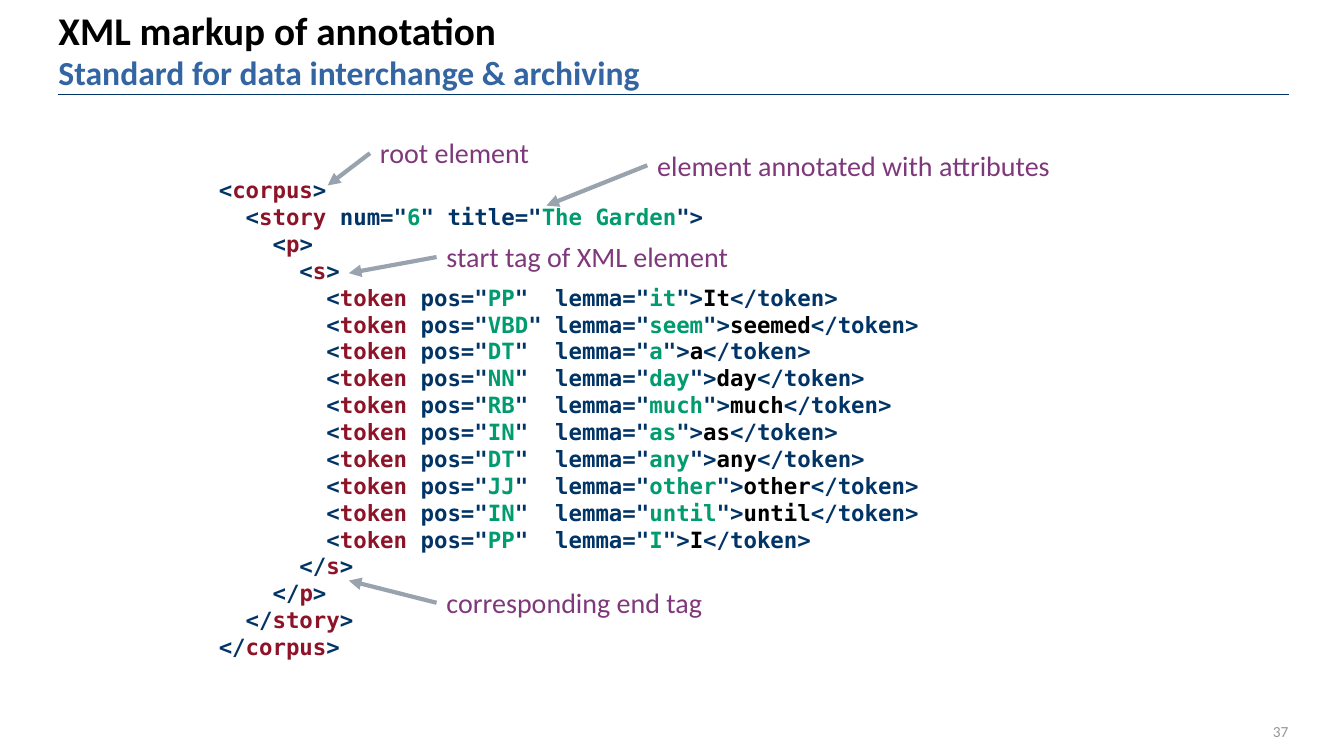
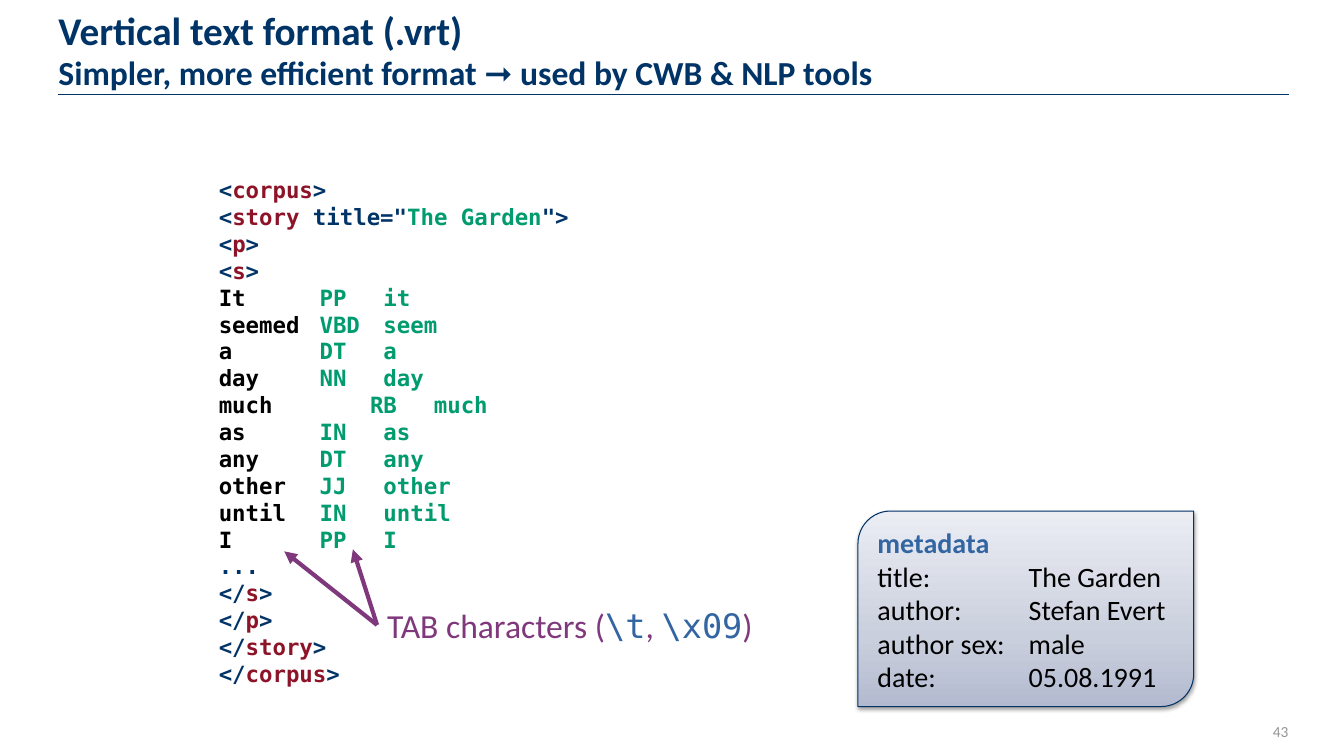
from dataclasses import dataclass

from lxml.etree import SubElement
from pptx import Presentation
from pptx.dml.color import RGBColor
from pptx.enum.shapes import MSO_CONNECTOR as Connector, MSO_SHAPE as Preset
from pptx.enum.text import MSO_ANCHOR as Anchor, MSO_AUTO_SIZE as AutoSize, PP_ALIGN as Align
from pptx.oxml.ns import qn
from pptx.util import Inches, Pt


@dataclass(frozen=True)
class Theme:
    sans: str = "Calibri"
    mono: str = "DejaVu Sans Mono"
    black: str = "000000"
    navy: str = "003366"
    blue: str = "3365A2"
    purple: str = "7F387B"
    red: str = "8D1428"
    green: str = "009B6E"
    arrow_grey: str = "98A3AE"
    number_grey: str = "969696"
    card_stops: tuple = ((0, "B3BAD0"), (35, "CACFDD"), (100, "EBEDF3"))
    title_size: int = 28
    subtitle_size: int = 24
    note_size: int = 20
    tab_note_size: int = 24
    code_size: int = 16
    number_size: int = 11


THEME = Theme()
NO_INSETS = {"margin_left": 0, "margin_top": 0, "margin_right": 0, "margin_bottom": 0}
TAB_STEP = 0.5
TAB_COUNT = 4

TOKENS = [
    ("It", "PP", "it"), ("seemed", "VBD", "seem"), ("a", "DT", "a"),
    ("day", "NN", "day"), ("much", "RB", "much"), ("as", "IN", "as"),
    ("any", "DT", "any"), ("other", "JJ", "other"), ("until", "IN", "until"),
    ("I", "PP", "I"),
]
NESTING = ["corpus", "story", "p", "s"]
METADATA = ["title:\t\tThe Garden", "author:\t\tStefan Evert",
            "author sex:\tmale", "date:\t\t05.08.1991"]


def set_values(target, values):
    for key, value in values.items():
        setattr(target, key, value)


def add_run(paragraph, text, color, size, name=THEME.sans, bold=False):
    run = paragraph.add_run()
    run.text = text
    set_values(run.font, {"name": name, "size": Pt(size), "bold": bold})
    run.font.color.rgb = RGBColor.from_string(color)


def next_paragraph(frame, index):
    return frame.paragraphs[0] if index == 0 else frame.add_paragraph()


def add_tab_stops(paragraph):
    stops = SubElement(paragraph._p.get_or_add_pPr(), qn("a:tabLst"))
    for step in range(1, TAB_COUNT + 1):
        SubElement(stops, qn("a:tab"), pos=str(Inches(TAB_STEP * step)), algn="l")


def place(shape, left, top, width, height):
    set_values(shape, {"left": Inches(left), "top": Inches(top),
                       "width": Inches(width), "height": Inches(height)})


def add_line(slide, start, end, color, width, arrow=False):
    line = slide.shapes.add_connector(Connector.STRAIGHT, *map(Inches, start + end))
    line.line.color.rgb = RGBColor.from_string(color)
    line.line.width = Pt(width)
    properties = line.element.spPr
    if arrow:
        SubElement(properties.get_or_add_ln(), qn("a:tailEnd"), type="triangle")
    SubElement(properties, qn("a:effectLst"))
    return line


def add_text_box(slide, left, top, width, height):
    box = slide.shapes.add_textbox(*map(Inches, (left, top, width, height)))
    box.text_frame.word_wrap = True
    return box


def fill_title(slide, title, subtitle, title_color, subtitle_color):
    place(slide.shapes.title, 0.58, 0.13, 8.44, 0.79)
    frame = slide.shapes.title.text_frame
    set_values(frame, NO_INSETS | {"vertical_anchor": Anchor.BOTTOM,
                                   "auto_size": AutoSize.NONE, "word_wrap": True})
    heading = frame.paragraphs[0]
    set_values(heading, {"alignment": Align.LEFT, "line_spacing": Pt(28)})
    add_run(heading, title, title_color, THEME.title_size, bold=True)
    heading.add_line_break()
    add_run(heading, subtitle, subtitle_color, THEME.subtitle_size, bold=True)


def add_page_number(slide, number):
    frame = add_text_box(slide, 12.12, 7.01, 0.66, 0.49).text_frame
    set_values(frame, NO_INSETS | {"margin_left": Inches(0.1),
                                   "vertical_anchor": Anchor.MIDDLE})
    frame.paragraphs[0].alignment = Align.RIGHT
    add_run(frame.paragraphs[0], str(number), THEME.number_grey, THEME.number_size)


def fill_code(slide, lines):
    """Set each line, a list of (text, color) pairs, as a paragraph of the body."""
    body = slide.placeholders[1]
    place(body, 2.17, 1.75, 9, 5.57)
    set_values(body.text_frame, NO_INSETS | {"auto_size": AutoSize.NONE,
                                             "vertical_anchor": Anchor.TOP})
    for index, line in enumerate(lines):
        paragraph = next_paragraph(body.text_frame, index)
        properties = paragraph._p.get_or_add_pPr()
        properties.set("marL", "0")
        properties.set("indent", "0")
        SubElement(properties, qn("a:buNone"))
        add_tab_stops(paragraph)
        set_values(paragraph, {"line_spacing": Pt(19.2), "space_before": Pt(0),
                               "space_after": Pt(0)})
        for text, color in line:
            add_run(paragraph, text, color, THEME.code_size, THEME.mono, bold=True)


def add_note(slide, bounds, runs, size, arrow_color, *targets):
    """Add a text whose left side sends an arrow to each target."""
    box = add_text_box(slide, *bounds)
    for text, color, font in runs:
        add_run(box.text_frame.paragraphs[0], text, color, size, font)
    for target in targets:
        arrow = add_line(slide, bounds[:2], target, arrow_color, 3, arrow=True)
        arrow.begin_connect(box, 1)


def add_metadata_card(slide):
    card = slide.shapes.add_shape(Preset.ROUND_2_DIAG_RECTANGLE,
                                  *map(Inches, (8.51, 5.07, 3.33, 1.94)))
    card.line.color.rgb = RGBColor.from_string(THEME.navy)
    card.line.width = Pt(0.75)
    card.fill.gradient()
    card.fill.gradient_angle = 90
    properties = card.element.spPr
    stops = properties.find(f"{qn('a:gradFill')}/{qn('a:gsLst')}")
    stops[:] = []
    for position, color in THEME.card_stops:
        stop = SubElement(stops, qn("a:gs"), pos=str(position * 1000))
        SubElement(stop, qn("a:srgbClr"), val=color)
    card.shadow.inherit = False
    shadow = SubElement(properties.find(qn("a:effectLst")), qn("a:outerShdw"),
                        blurRad=str(Pt(3.1)), dist=str(Pt(1.6)), dir="5400000",
                        rotWithShape="0")
    shade = SubElement(shadow, qn("a:srgbClr"), val=THEME.black)
    SubElement(shade, qn("a:alpha"), val="38000")

    frame = card.text_frame
    frame.vertical_anchor = Anchor.TOP
    for index, text in enumerate(["metadata"] + METADATA):
        paragraph = next_paragraph(frame, index)
        add_tab_stops(paragraph)
        paragraph.alignment = Align.LEFT
        is_heading = index == 0
        add_run(paragraph, text, THEME.blue if is_heading else THEME.black,
                THEME.note_size, bold=is_heading)


def start_tag(name, attributes=None, indent=0):
    runs = [(" " * indent + "<", THEME.navy), (name, THEME.red)]
    for key, value in (attributes or {}).items():
        runs += [(f' {key}="', THEME.navy), (value, THEME.green), ('"', THEME.navy)]
    return runs + [(">", THEME.navy)]


def end_tag(name, indent=0):
    return [(" " * indent + "</", THEME.navy), (name, THEME.red), (">", THEME.navy)]


def nest(content, story_attributes, step):
    """Wrap the content lines in all outer elements, indented by step."""
    levels = [(name, step * depth) for depth, name in enumerate(NESTING)]
    opening = [start_tag(name, story_attributes if name == "story" else None, indent)
               for name, indent in levels]
    closing = [end_tag(name, indent) for name, indent in reversed(levels)]
    return opening + content + closing


def xml_token(word, pos, lemma):
    lemma_key = " " * (3 - len(pos)) + "lemma"
    return start_tag("token", {"pos": pos, lemma_key: lemma}, 8) + [
        (word, THEME.black), ("</token>", THEME.navy)]


def vertical_token(word, pos, lemma):
    tabs = "\t\t" if len(word) < 5 else "\t"
    return [(word + tabs, THEME.black), (f"{pos}\t {lemma}", THEME.green)]


def add_content_slide(deck, number, *title):
    slide = deck.slides.add_slide(deck.slide_layouts[1])
    add_line(slide, (12.78, 0.94), (0.58, 0.94), THEME.navy, 0.75)
    fill_title(slide, *title)
    add_page_number(slide, number)
    return slide


def build_xml_slide(deck):
    slide = add_content_slide(deck, 37, "XML markup of annotation",
                              "Standard for data interchange & archiving",
                              THEME.black, THEME.blue)
    fill_code(slide, nest([xml_token(*token) for token in TOKENS],
                          {"num": "6", "title": "The Garden"}, 2))
    notes = [
        ("start tag of XML element", (4.33, 2.33, 3.12, 0.44), (3.46, 2.71)),
        ("corresponding end tag", (4.33, 5.76, 3.12, 0.44), (3.46, 5.76)),
        ("root element", (3.67, 1.3, 1.74, 0.44), (3.25, 1.84)),
        ("element annotated with attributes", (6.42, 1.42, 4.15, 0.44), (5.42, 2.04)),
    ]
    for text, bounds, target in notes:
        add_note(slide, bounds, [(text, THEME.purple, THEME.sans)],
                 THEME.note_size, THEME.arrow_grey, target)


def build_vertical_slide(deck):
    slide = add_content_slide(deck, 43, "Vertical text format (.vrt)",
                              "Simpler, more efficient format ➞ used by CWB & NLP tools",
                              THEME.navy, THEME.navy)
    rows = [vertical_token(*token) for token in TOKENS]
    fill_code(slide, nest(rows + [[("...", THEME.navy)]], {"title": "The Garden"}, 0))
    prose, escape = (THEME.purple, THEME.sans), (THEME.blue, THEME.mono)
    tab_note = [("TAB characters (", *prose), ("\\t", *escape), (", ", *prose),
                ("\\x09", *escape), (")", *prose)]
    add_note(slide, (3.74, 5.95, 4.69, 0.5), tab_note, THEME.tab_note_size,
             THEME.purple, (3.5, 5.45), (2.82, 5.47))
    add_metadata_card(slide)


def main():
    deck = Presentation()
    set_values(deck, {"slide_width": Inches(13.33), "slide_height": Inches(7.5)})
    build_xml_slide(deck)
    build_vertical_slide(deck)
    deck.save("out.pptx")


if __name__ == "__main__":
    main()
